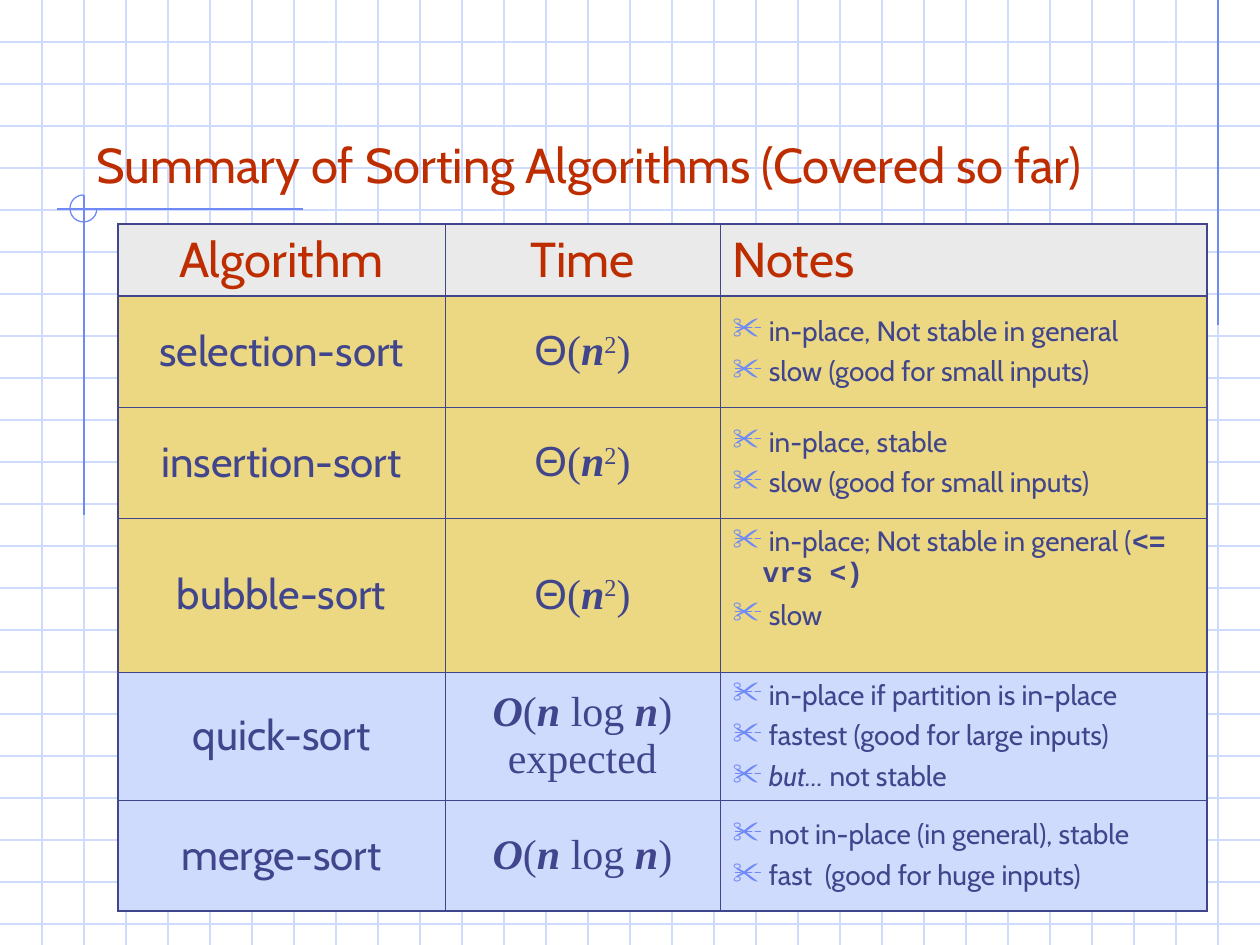
from lxml import etree
from pptx import Presentation
from pptx import util as u
from pptx.dml.color import RGBColor
from pptx.enum import shapes, text
from pptx.oxml import ns

WIDTH, HEIGHT, GRID = 1260, 945, 42
RED, NAVY, BLUE, PALE = "BE2D00", "40458C", "6F89F7", "CFDBFD"
GREY, GOLD = "EAEAEA", "ECD882"
THIN, THICK = 0.45, 1.08
LEFT, CENTER = text.PP_ALIGN.LEFT, text.PP_ALIGN.CENTER
TOP, MIDDLE, BOTTOM = text.MSO_ANCHOR.TOP, text.MSO_ANCHOR.MIDDLE, text.MSO_ANCHOR.BOTTOM

COLUMNS = [327, 275, 487]
ROWS = [72, 111, 111, 154, 128, 111]
HEADERS = [("Algorithm", CENTER), ("Time", CENTER), ("Notes", LEFT)]
STYLES = {
    "plain": {"font": "Cabin"},
    "slanted": {"font": "Cabin", "italic": True},
    "code": {"font": "Courier New", "bold": True},
    "greek": {"font": "Arial"},
    "math": {"font": "Times New Roman"},
    "variable": {"font": "Times New Roman", "bold": True, "italic": True},
    "power": {"font": "Times New Roman", "raised": True},
}
SQUARE = [("Θ", "greek"), ("(", "math"), ("n", "variable"), ("2", "power"), (")", "math")]
N_LOG_N = [("O", "variable"), ("(", "math"), ("n", "variable"), (" log ", "math"),
           ("n", "variable"), (")", "math")]
SLOW = [(" slow (good for small inputs)", "plain")]
ALGORITHMS = [
    ("selection-sort", [SQUARE], GOLD, MIDDLE,
     [[(" in-place, Not stable in general", "plain")], SLOW]),
    ("insertion-sort", [SQUARE], GOLD, MIDDLE,
     [[(" in-place, stable", "plain")], SLOW]),
    ("bubble-sort", [SQUARE], GOLD, TOP,
     [[(" in-place; Not stable in general (", "plain"), ("<= vrs <)", "code")],
      [(" slow", "plain")]]),
    ("quick-sort", [N_LOG_N, [("expected", "math")]], PALE, MIDDLE,
     [[(" in-place if partition is in-place", "plain")],
      [(" fastest (good for large inputs)", "plain")],
      [(" but…", "slanted"), (" not stable", "plain")]]),
    ("merge-sort", [N_LOG_N], PALE, MIDDLE,
     [[(" not in-place (in general), stable", "plain")],
      [(" fast  (good for huge inputs)", "plain")]]),
]


def px(length):
    """Turn pixels into EMU."""
    return u.Emu(round(length * 914400 / 126))


def color(value):
    """Turn a hex string into a colour."""
    return RGBColor.from_string(value)


def add_child(parent, tag, **attributes):
    """Append a DrawingML element to a parent."""
    return etree.SubElement(parent, ns.qn(tag), attributes)


def add_line(slide, x1, y1, x2, y2, stroke):
    """Draw a straight hairline."""
    line = slide.shapes.add_connector(
        shapes.MSO_CONNECTOR.STRAIGHT, px(x1), px(y1), px(x2), px(y2))
    line.line.color.rgb = color(stroke)
    line.line.width = u.Pt(0.75)
    add_child(line._element.spPr, "a:effectLst")


def add_arc(slide, left, top, size):
    """Draw a three-quarter circle, open at the upper right."""
    arc = slide.shapes.add_shape(shapes.MSO_SHAPE.ARC, px(left), px(top), px(size), px(size))
    arc.adjustments[0], arc.adjustments[1] = 0, 162
    arc.shadow.inherit = False
    arc.fill.background()
    arc.line.color.rgb = color(BLUE)
    arc.line.width = u.Pt(0.75)


def add_run(paragraph, words, style, size, ink):
    """Add one styled run."""
    run = paragraph.add_run()
    run.text = words
    look = STYLES[style]
    run.font.name = look["font"]
    run.font.size = u.Pt(size)
    run.font.bold = look.get("bold", False)
    run.font.italic = look.get("italic", False)
    run.font.color.rgb = color(ink)
    if look.get("raised"):
        run.font._element.set("baseline", "30000")


def add_title(slide, box, words):
    """Place the bottom-anchored title."""
    frame = slide.shapes.add_textbox(*map(px, box)).text_frame
    frame.word_wrap = True
    frame.vertical_anchor = BOTTOM
    add_run(frame.paragraphs[0], words, "plain", 28, RED)


def add_bullet(paragraph):
    """Give a paragraph a hanging scissors bullet."""
    properties = paragraph._p.get_or_add_pPr()
    properties.set("marL", str(px(30)))
    properties.set("indent", str(px(-30)))
    add_child(add_child(properties, "a:buClr"), "a:srgbClr", val=BLUE)
    add_child(properties, "a:buSzPct", val="110000")
    add_child(properties, "a:buChar", char="✂")


def fill_lines(cell, lines, size, ink, alignment=CENTER):
    """Write lines of runs as one paragraph."""
    paragraph = cell.text_frame.paragraphs[0]
    paragraph.alignment = alignment
    for index, line in enumerate(lines):
        if index:
            paragraph.add_line_break()
        for words, style in line:
            add_run(paragraph, words, style, size, ink)


def fill_notes(cell, notes):
    """Write each note as a bulleted paragraph."""
    frame = cell.text_frame
    for index, note in enumerate(notes):
        paragraph = frame.add_paragraph() if index else frame.paragraphs[0]
        add_bullet(paragraph)
        if index:
            paragraph.space_before = u.Pt(4)
        for words, style in note:
            add_run(paragraph, words, style, 16, NAVY)


def format_cell(cell, row, column, fill):
    """Set borders, anchor and fill of a cell."""
    last_row, last_column = len(ROWS) - 1, len(COLUMNS) - 1
    thick = {"L": column == 0, "R": column == last_column,
             "T": row <= 1, "B": row in (0, last_row)}
    properties = cell._tc.get_or_add_tcPr()
    for side, heavy in thick.items():
        width = u.Pt(THICK if heavy else THIN)
        border = add_child(properties, f"a:ln{side}", w=str(width))
        add_child(add_child(border, "a:solidFill"), "a:srgbClr", val=NAVY)
    cell.fill.solid()
    cell.fill.fore_color.rgb = color(fill)
    cell.vertical_anchor = MIDDLE


def add_summary(slide):
    """Build the table of sorting algorithms."""
    table = slide.shapes.add_table(len(ROWS), len(COLUMNS), px(118), px(224),
                                   px(sum(COLUMNS)), px(sum(ROWS))).table
    table.first_row = table.horz_banding = False
    for column, width in zip(table.columns, COLUMNS):
        column.width = px(width)
    for row, height in zip(table.rows, ROWS):
        row.height = px(height)
    fills = [GREY] + [algorithm[2] for algorithm in ALGORITHMS]
    for row, fill in enumerate(fills):
        for column in range(len(COLUMNS)):
            format_cell(table.cell(row, column), row, column, fill)
    for column, (header, alignment) in enumerate(HEADERS):
        fill_lines(table.cell(0, column), [[(header, "plain")]], 28, RED, alignment)
    for row, (name, time, _, anchor, notes) in enumerate(ALGORITHMS, 1):
        fill_lines(table.cell(row, 0), [[(name, "plain")]], 24, NAVY)
        fill_lines(table.cell(row, 1), time, 24, NAVY)
        fill_notes(table.cell(row, 2), notes)
        table.cell(row, 2).vertical_anchor = anchor


def add_background(slide):
    """Draw the squared paper and its blue accents."""
    for y in range(GRID, HEIGHT, GRID):
        add_line(slide, 0, y, WIDTH, y, PALE)
    for x in range(GRID, WIDTH, GRID):
        add_line(slide, x, 0, x, HEIGHT, PALE)
    add_line(slide, 1218, 0, 1218, 325, BLUE)
    add_line(slide, 303, 209, 57, 209, BLUE)
    add_line(slide, 84, 195, 84, 515, BLUE)
    add_arc(slide, 70, 195, 27)


def main():
    """Build and save the slide."""
    presentation = Presentation()
    presentation.slide_width, presentation.slide_height = px(WIDTH), px(HEIGHT)
    slide = presentation.slides.add_slide(presentation.slide_layouts[6])
    add_background(slide)
    add_title(slide, (84, 42, 1113, 158), "Summary of Sorting Algorithms (Covered so far)")
    add_summary(slide)
    presentation.save("out.pptx")


if __name__ == "__main__":
    main()
